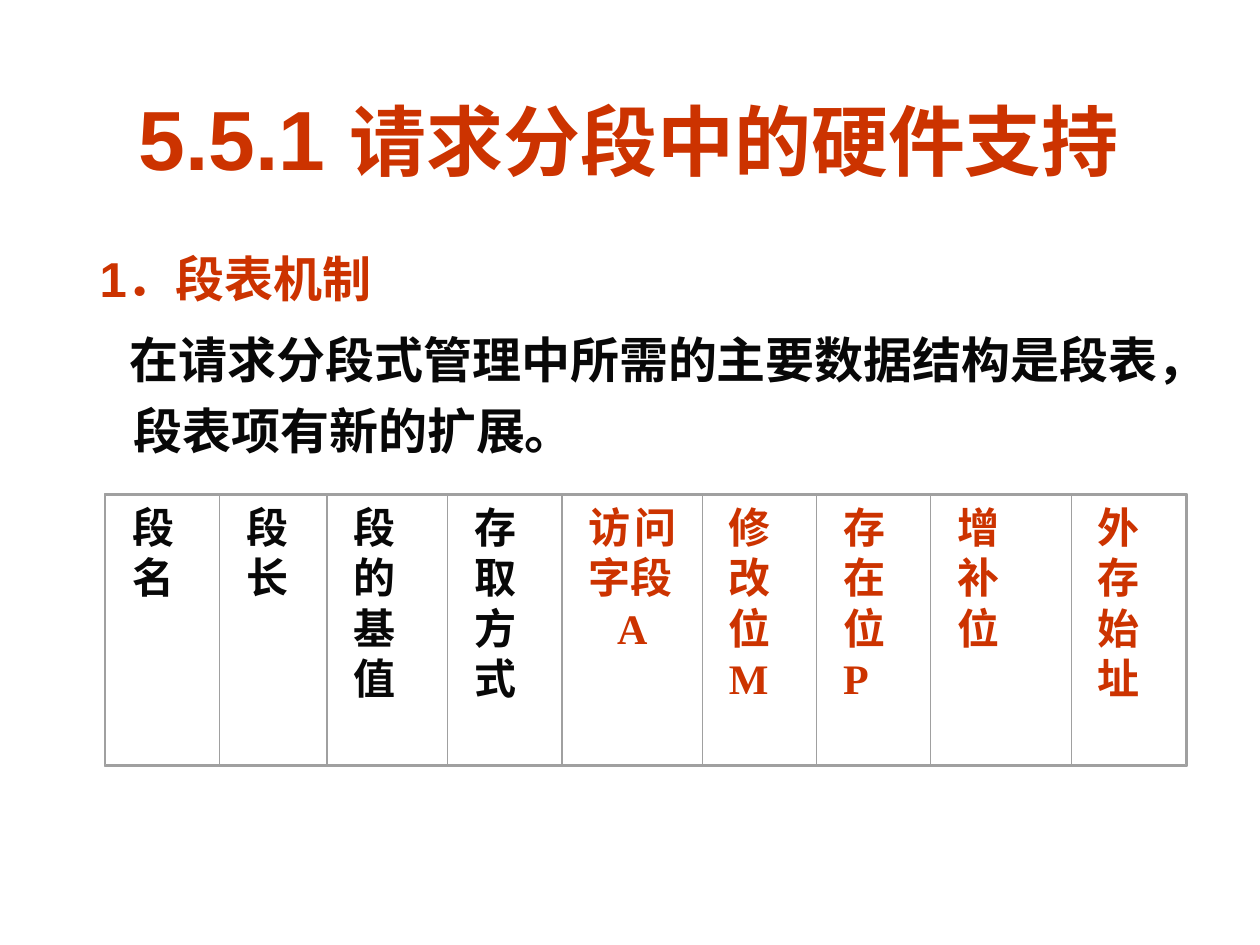
from dataclasses import dataclass
from itertools import accumulate

import pptx
import pptx.dml.color
import pptx.enum.shapes
import pptx.enum.text
import pptx.util
from pptx.oxml.xmlchemy import OxmlElement

Inches, Pt = pptx.util.Inches, pptx.util.Pt
Align = pptx.enum.text.PP_ALIGN

ACCENT = pptx.dml.color.RGBColor(0xCC, 0x33, 0x00)
INK = pptx.dml.color.RGBColor(0x08, 0x08, 0x08)
RULE = pptx.dml.color.RGBColor(0xA0, 0xA0, 0xA0)

# Segment table geometry, in inches; column widths are in grid units
TABLE_LEFT, TABLE_TOP, TABLE_WIDTH, TABLE_HEIGHT = 0.84, 3.93, 8.57, 2.14
CELL_MARGIN = 0.11
FRAME_GAP = 0.01


@dataclass(frozen=True)
class Field:
    lines: tuple[str, ...]
    units: int
    color: pptx.dml.color.RGBColor = ACCENT
    center_last: bool = False


FIELDS = (
    Field(("段名",), 17, INK),
    Field(("段长",), 16, INK),
    Field(("段的", "基值"), 18, INK),
    Field(("存取", "方式"), 17, INK),
    Field(("访问字段", "A"), 21, center_last=True),
    Field(("修改", "位M"), 17),
    Field(("存在", "位P"), 17),
    Field(("增", "补", "位"), 21),
    Field(("外存", "始址"), 17),
)


def place(shape, left: float, top: float, width: float, height: float) -> None:
    shape.left, shape.top = Inches(left), Inches(top)
    shape.width, shape.height = Inches(width), Inches(height)


def set_font(font, name: str, size: float, color) -> None:
    font.name, font.size, font.bold = name, Pt(size), True
    font.color.rgb = color


def indent_body(paragraph, first_line: float) -> None:
    """Hang the lines at 0.38 in, with the first line shifted and no bullet."""
    properties = paragraph._p.get_or_add_pPr()
    properties.set("marL", str(Inches(0.38)))
    properties.set("indent", str(Inches(first_line)))
    properties.insert_element_before(
        OxmlElement("a:buNone"), "a:tabLst", "a:defRPr", "a:extLst")


def draw_box(shapes, left: float, top: float, width: float, height: float,
             line_width: float) -> None:
    box = shapes.add_shape(
        pptx.enum.shapes.MSO_SHAPE.RECTANGLE,
        Inches(left), Inches(top), Inches(width), Inches(height))
    box.shadow.inherit = False
    box.fill.background()
    box.line.color.rgb = RULE
    box.line.width = Pt(line_width)


def draw_field(shapes, field: Field, left: float, width: float) -> None:
    label = shapes.add_textbox(
        Inches(left + CELL_MARGIN), Inches(TABLE_TOP),
        Inches(width - 2 * CELL_MARGIN), Inches(TABLE_HEIGHT))
    frame = label.text_frame
    frame.word_wrap = True
    frame.text = "\n".join(field.lines)
    for paragraph in frame.paragraphs:
        paragraph.alignment = Align.JUSTIFY
        set_font(paragraph.font, "Times New Roman", 24, field.color)
    if field.center_last:
        frame.paragraphs[-1].alignment = Align.CENTER
    draw_box(shapes, left, TABLE_TOP, width, TABLE_HEIGHT, 0)


def draw_segment_table(slide) -> None:
    shapes = slide.shapes.add_group_shape().shapes
    unit = TABLE_WIDTH / sum(field.units for field in FIELDS)
    starts = accumulate((field.units for field in FIELDS), initial=0)
    for field, start in zip(FIELDS, starts):
        draw_field(shapes, field, TABLE_LEFT + start * unit, field.units * unit)
    # Outer frame, just outside the cells
    draw_box(shapes, TABLE_LEFT - FRAME_GAP, TABLE_TOP - FRAME_GAP,
             TABLE_WIDTH + 2 * FRAME_GAP, TABLE_HEIGHT + 2 * FRAME_GAP, 0.87)


def main() -> None:
    presentation = pptx.Presentation()
    presentation.slide_width, presentation.slide_height = Inches(10), Inches(7.5)
    slide = presentation.slides.add_slide(presentation.slide_layouts[1])

    # Title
    title = slide.shapes.title
    place(title, 0.58, 0.5, 8.83, 1.17)
    heading = title.text_frame.paragraphs[0]
    heading.alignment = Align.CENTER
    for text, size in (("5.5.1 ", 48), ("请求分段中的硬件支持", 44)):
        run = heading.add_run()
        run.text = text
        set_font(run.font, "Arial", size, ACCENT)

    # Introduction
    body = slide.placeholders[1]
    place(body, 0.58, 1.83, 8.83, 2.09)
    introduction = body.text_frame
    introduction.auto_size = pptx.enum.text.MSO_AUTO_SIZE.NONE
    introduction.text = ("1．段表机制\n"
                         "在请求分段式管理中所需的主要数据结构是段表，段表项有新的扩展。")
    styles = ((ACCENT, -0.27), (INK, -0.03))
    for paragraph, (color, first_line) in zip(introduction.paragraphs, styles):
        paragraph.line_spacing = 1.2
        paragraph.space_before = Pt(6)
        set_font(paragraph.font, "Arial", 28, color)
        indent_body(paragraph, first_line)

    draw_segment_table(slide)
    presentation.save("out.pptx")


if __name__ == "__main__":
    main()
